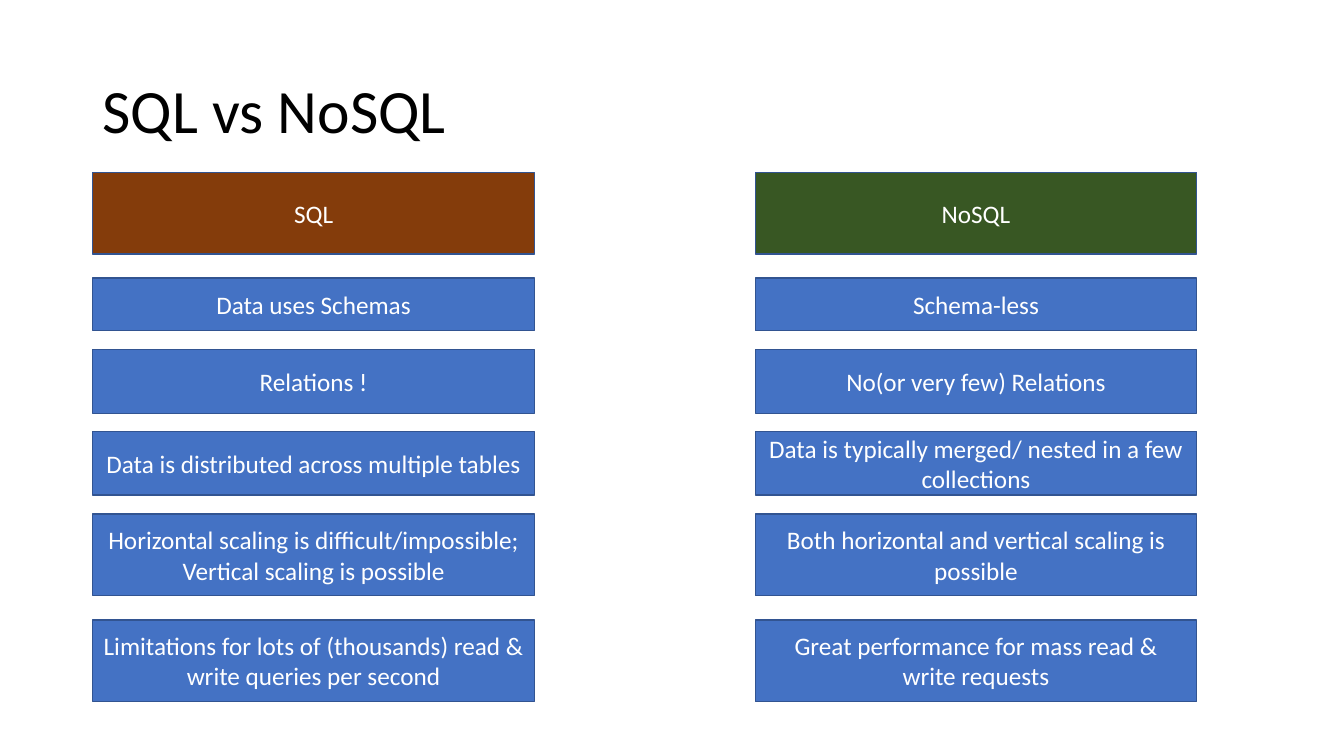
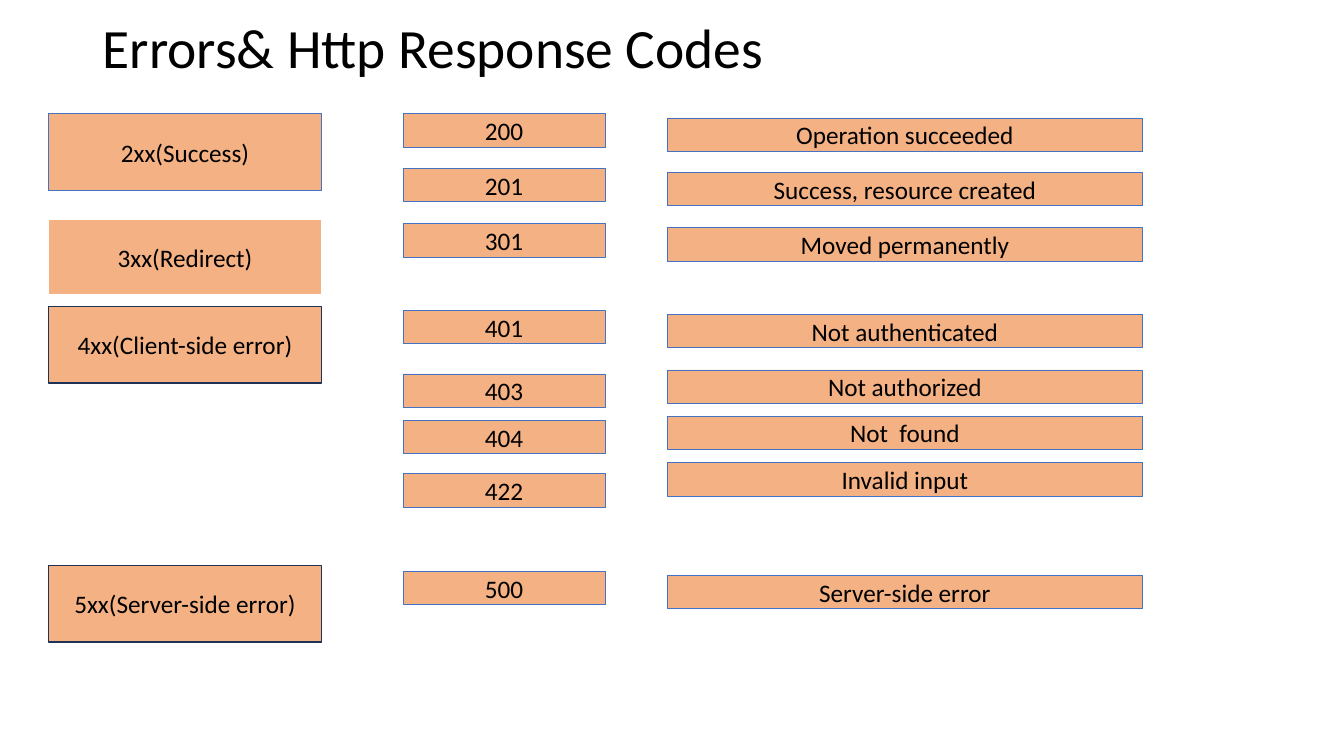
from dataclasses import dataclass

from pptx import Presentation
from pptx.dml.color import RGBColor
from pptx.enum.shapes import MSO_SHAPE as Preset
from pptx.enum.text import MSO_ANCHOR as Anchor, PP_ALIGN as Align
from pptx.util import Inches, Pt


@dataclass(frozen=True)
class Theme:
    """Colours, font and type sizes shared by the slides."""
    font: str = "Calibri"
    title_size: float = 44
    compact_title_size: float = 39.6
    body_size: float = 18
    black: str = "000000"
    white: str = "FFFFFF"
    blue: str = "4472C4"
    blue_edge: str = "325491"
    navy_edge: str = "1E3256"
    brown: str = "843C0B"
    green: str = "385723"
    peach: str = "F4B183"


@dataclass(frozen=True)
class Box:
    """A rectangle in inches."""
    left: float
    top: float
    width: float
    height: float

    def inner(self, left, top, width, height):
        """Return a box placed relative to this one."""
        return Box(self.left + left, self.top + top, width, height)

    def lengths(self):
        """Return the position and size as slide lengths."""
        return [Inches(round(value, 2)) for value in
                (self.left, self.top, self.width, self.height)]


THEME = Theme()
EDGE = (THEME.blue_edge, 1)
THIN_EDGE = (THEME.blue, 0.5)
WHITE_EDGE = (THEME.white, 1.5)
NAVY_EDGE = (THEME.navy_edge, 1)

COMPARISON_ROWS = [
    (1.05, 0.52, "Data uses Schemas", "Schema-less"),
    (1.76, 0.63, "Relations !", "No(or very few) Relations"),
    (2.57, 0.63, "Data is distributed across multiple tables",
     "Data is typically merged/ nested in a few collections"),
    (3.39, 0.81,
     "Horizontal scaling is difficult/impossible;\nVertical scaling is possible",
     "Both horizontal and vertical scaling is possible"),
    (4.44, 0.81,
     "Limitations for lots of (thousands) read & write queries per second",
     "Great performance for mass read & write requests"),
]

CODE_FAMILIES = [
    (0, "2xx(Success)", THIN_EDGE),
    (1.04, "3xx(Redirect)", WHITE_EDGE),
    (1.91, "4xx(Client-side error)", NAVY_EDGE),
    (4.48, "5xx(Server-side error)", NAVY_EDGE),
]

RESPONSES = [
    (0, "200", 0.04, "Operation succeeded"),
    (0.54, "201", 0.58, "Success, resource created"),
    (1.09, "301", 1.13, "Moved permanently"),
    (1.95, "401", 1.99, "Not authenticated"),
    (2.58, "403", 2.54, "Not authorized"),
    (3.04, "404", 3.00, "Not  found"),
    (3.57, "422", 3.46, "Invalid input"),
    (4.54, "500", 4.58, "Server-side error"),
]


def write(frame, text, *, size=THEME.body_size, color=THEME.black,
          align=Align.CENTER, spacing=None):
    """Write one formatted paragraph, centred vertically, into a text frame."""
    frame.word_wrap = True
    frame.vertical_anchor = Anchor.MIDDLE
    paragraph = frame.paragraphs[0]
    paragraph.text = text
    paragraph.alignment = align
    paragraph.line_spacing = spacing
    for run in paragraph.runs:
        run.font.name = THEME.font
        run.font.size = Pt(size)
        run.font.color.rgb = RGBColor.from_string(color)


def add_title(slide, box, text, size):
    """Place the slide title in its box."""
    title = slide.shapes.add_textbox(*box.lengths())
    write(title.text_frame, text, size=size, align=Align.LEFT, spacing=0.9)


def add_cell(slide, box, text, fill, edge, color=THEME.black):
    """Draw a filled, outlined rectangle with centred text."""
    edge_color, edge_width = edge
    cell = slide.shapes.add_shape(Preset.RECTANGLE, *box.lengths())
    cell.shadow.inherit = False
    cell.fill.solid()
    cell.fill.fore_color.rgb = RGBColor.from_string(fill)
    cell.line.color.rgb = RGBColor.from_string(edge_color)
    cell.line.width = Pt(edge_width)
    write(cell.text_frame, text, color=color)


def add_comparison(slide, box):
    """Draw the two database columns at the sides of the box."""
    column_width = 4.38
    header = (0, 0.81, "SQL", "NoSQL")
    lefts = (0, box.width - column_width)
    for row in [header, *COMPARISON_ROWS]:
        top, height, *texts = row
        fills = ((THEME.brown, THEME.green) if row is header
                 else (THEME.blue, THEME.blue))
        for left, text, fill in zip(lefts, texts, fills):
            add_cell(slide, box.inner(left, top, column_width, height),
                     text, fill, EDGE, THEME.white)


def add_families(slide, box):
    """Draw the families of response codes down the box."""
    for top, text, edge in CODE_FAMILIES:
        add_cell(slide, box.inner(0, top, box.width, 0.76),
                 text, THEME.peach, edge)


def add_responses(slide, box):
    """Draw each response code with its meaning across the box."""
    code_width, meaning_width, height = 2, 4.71, 0.33
    meaning_left = box.width - meaning_width
    for code_top, code, meaning_top, meaning in RESPONSES:
        add_cell(slide, box.inner(0, code_top, code_width, height),
                 code, THEME.peach, THIN_EDGE)
        add_cell(slide, box.inner(meaning_left, meaning_top, meaning_width, height),
                 meaning, THEME.peach, THIN_EDGE)


def build_comparison_slide(slide):
    """Build the database comparison slide."""
    add_title(slide, Box(0.92, 0.4, 11.5, 1.45), "SQL vs NoSQL",
              THEME.title_size)
    add_comparison(slide, Box(0.92, 1.71, 10.95, 5.25))


def build_codes_slide(slide):
    """Build the response codes slide."""
    add_title(slide, Box(0.92, 0.4, 7.7, 0.2), "Errors& Http Response Codes",
              THEME.compact_title_size)
    add_families(slide, Box(0.48, 1.13, 2.71, 5.24))
    add_responses(slide, Box(4, 1.13, 7.33, 4.91))


def main():
    """Create and save the presentation."""
    deck = Presentation()
    deck.slide_width, deck.slide_height = Inches(13.33), Inches(7.5)
    blank = deck.slide_layouts[6]
    for build in (build_comparison_slide, build_codes_slide):
        build(deck.slides.add_slide(blank))
    deck.save("out.pptx")


if __name__ == "__main__":
    main()
